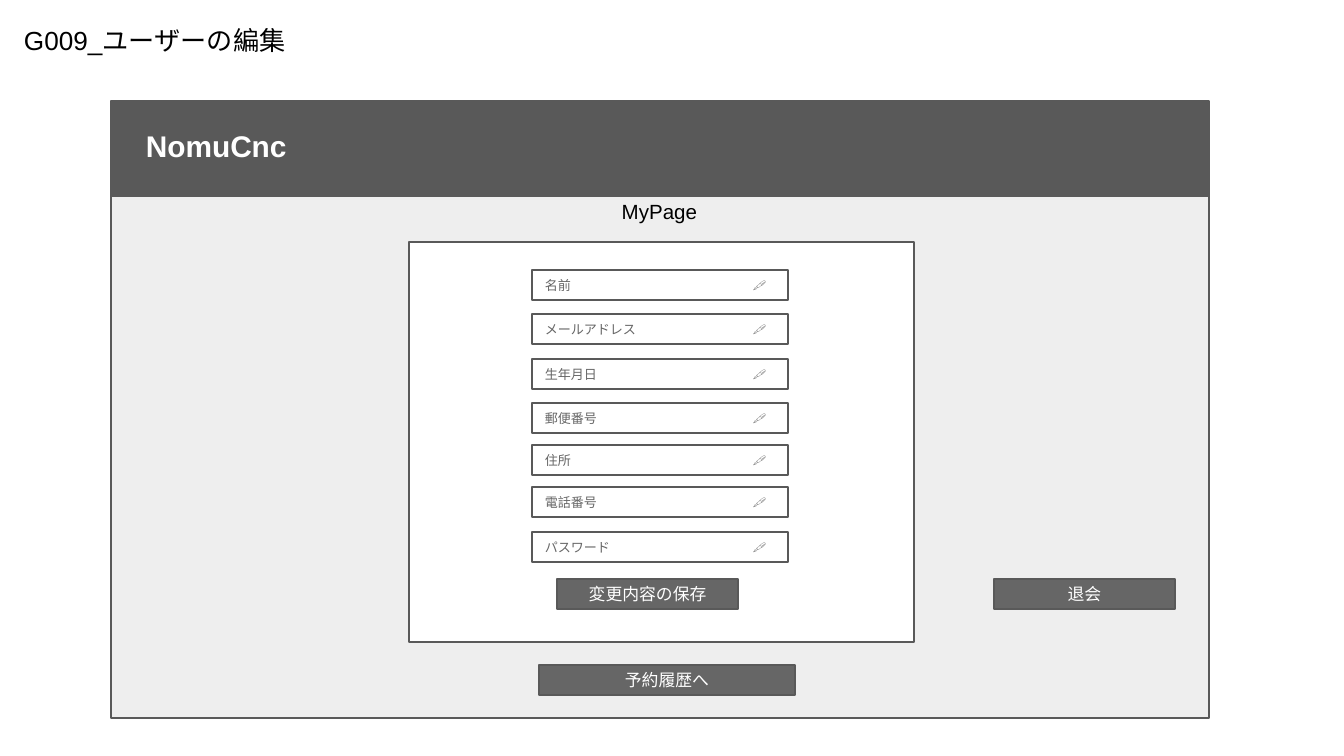
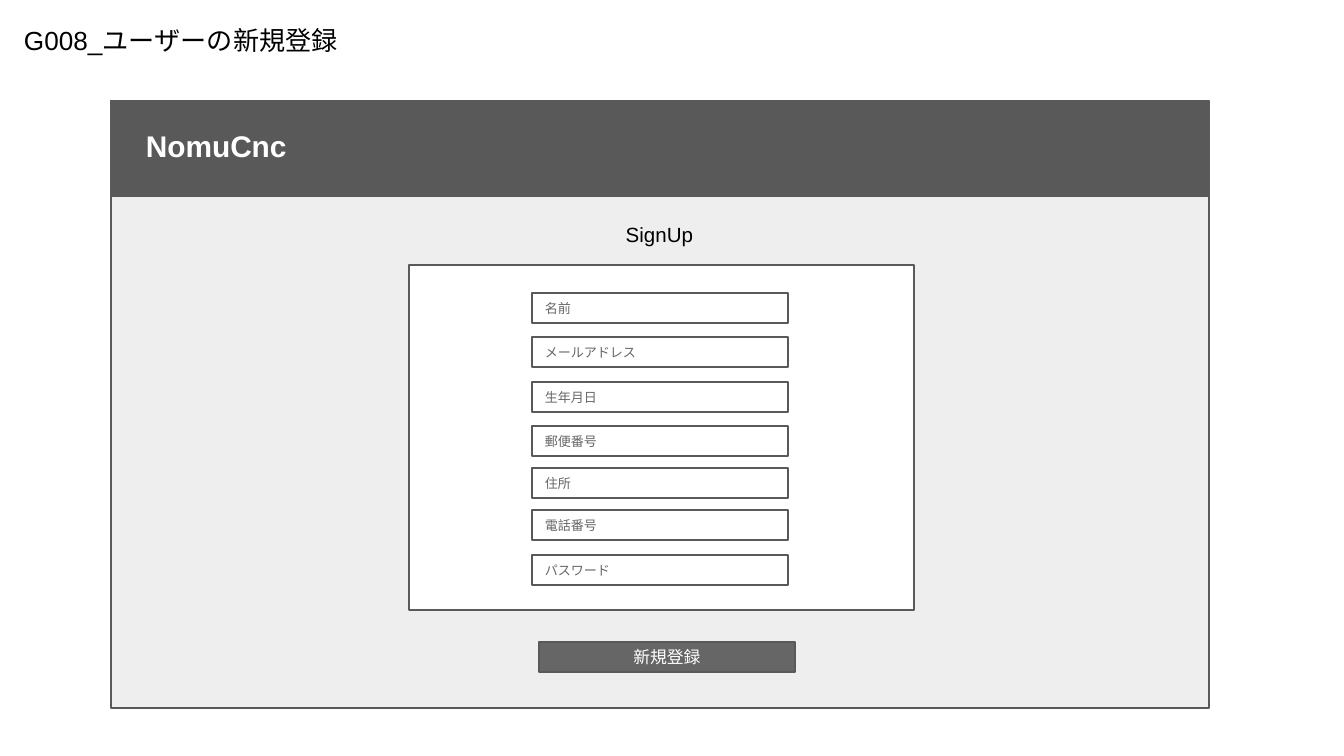
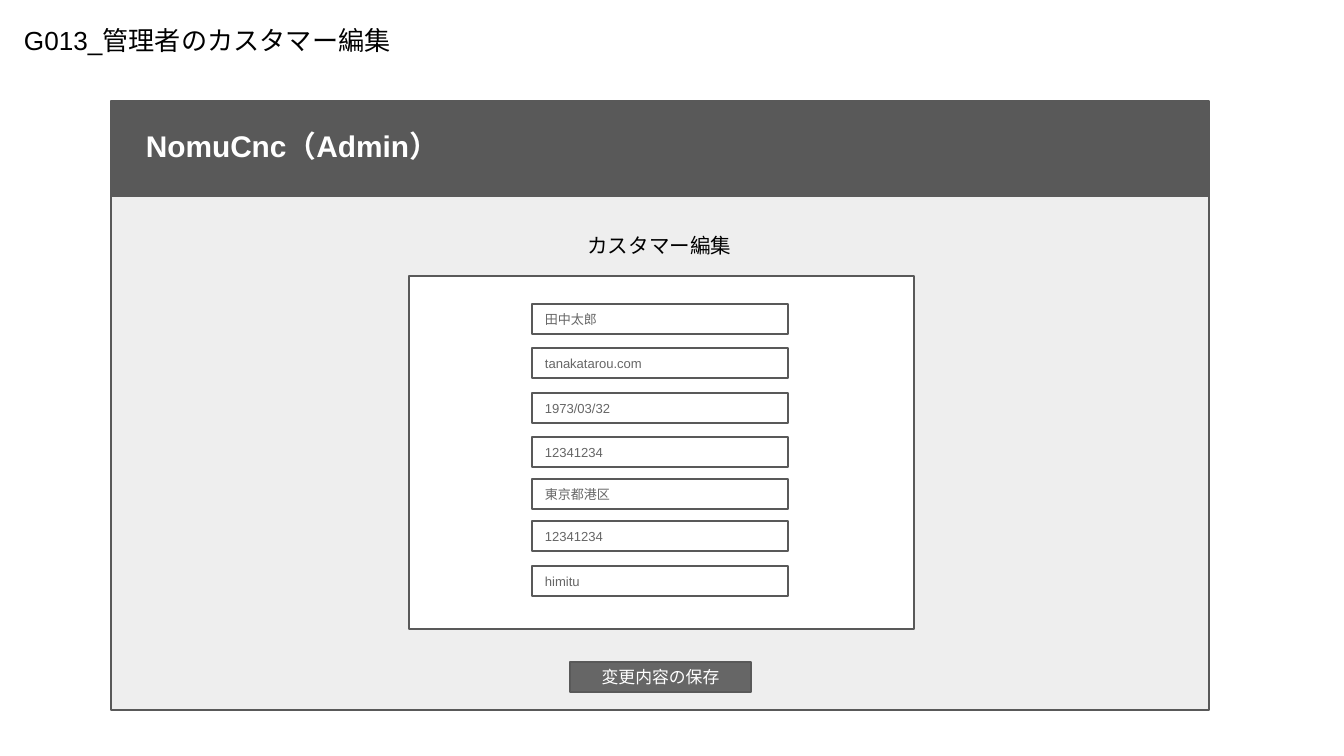
from lxml.etree import SubElement
from pptx import Presentation
from pptx.dml.color import RGBColor
from pptx.enum.shapes import MSO_SHAPE
from pptx.enum.text import MSO_ANCHOR, MSO_AUTO_SIZE, PP_ALIGN
from pptx.oxml.ns import qn
from pptx.util import Emu, Pt

BLACK, WHITE = "000000", "FFFFFF"
DARK, MID, PALE = "595959", "666666", "EEEEEE"
FONT = "Arial"

FRAME_LEFT, FRAME_WIDTH, FRAME_HEIGHT = 111, 1098, 607
HEADER_TOP, HEADER_HEIGHT = 101, 95
PANEL_LEFT, PANEL_WIDTH = 409, 505
HEADING_RISE = 55  # heading top above the panel top
FIELD_LEFT, FIELD_WIDTH, ROW_HEIGHT = 532, 256, 30
FIELD_OFFSETS = (28, 72, 117, 161, 203, 245, 290)  # below the panel top
WIDE, NARROW = 256, 181  # button widths
INSET, PENCIL_TAB = 13, 208

PROFILE_FIELDS = ("名前", "メールアドレス", "生年月日", "郵便番号", "住所", "電話番号", "パスワード")
CUSTOMER_VALUES = ("田中太郎", "tanakatarou.com", "1973/03/32", "12341234",
                   "東京都港区", "12341234", "himitu")

# Buttons: text, left, top, width
SCREENS = [
    dict(title="G009_ユーザーの編集", title_width=367, brand="NomuCnc", heading="MyPage",
         frame_top=111, panel_top=242, panel_height=400, fields=PROFILE_FIELDS, pencil=True,
         buttons=[("予約履歴へ", 539, 665, WIDE),
                  ("変更内容の保存", 557, 579, NARROW),
                  ("退会", 994, 579, NARROW)]),
    dict(title="G008_ユーザーの新規登録", title_width=367, brand="NomuCnc", heading="SignUp",
         frame_top=101, panel_top=265, panel_height=345, fields=PROFILE_FIELDS, pencil=False,
         buttons=[("新規登録", 539, 642, WIDE)]),
    dict(title="G013_管理者のカスタマー編集", title_width=405, brand="NomuCnc（Admin）",
         heading="カスタマー編集",
         frame_top=103, panel_top=276, panel_height=353, fields=CUSTOMER_VALUES, pencil=False,
         buttons=[("変更内容の保存", 570, 662, NARROW)]),
]


def px(length):
    return Emu(round(length * 914400 / 134.4))


def color(hex_string):
    return RGBColor.from_string(hex_string)


def write(shape, runs, size, text_color, align=PP_ALIGN.LEFT, bold=False):
    """Put one paragraph of runs into a shape and return the paragraph."""
    frame = shape.text_frame
    frame.word_wrap = True
    frame.margin_left = frame.margin_right = px(INSET)
    frame.margin_top = frame.margin_bottom = px(INSET)
    paragraph = frame.paragraphs[0]
    paragraph.alignment = align
    for text in runs:
        run = paragraph.add_run()
        run.text = text
        run.font.name = FONT
        run.font.size = Pt(size)
        run.font.bold = bold
        run.font.color.rgb = color(text_color)
    return paragraph


def add_box(slide, left, top, width, height, fill):
    box = slide.shapes.add_shape(MSO_SHAPE.RECTANGLE, px(left), px(top), px(width), px(height))
    box.shadow.inherit = False
    box.fill.solid()
    box.fill.fore_color.rgb = color(fill)
    box.line.color.rgb = color(DARK)
    box.line.width = Pt(0.75)
    box.text_frame.vertical_anchor = MSO_ANCHOR.MIDDLE
    return box


def add_label(slide, text, left, top, width, height, size, text_color, **style):
    label = slide.shapes.add_textbox(px(left), px(top), px(width), px(height))
    write(label, [text], size, text_color, **style)
    label.text_frame.auto_size = MSO_AUTO_SIZE.SHAPE_TO_FIT_TEXT


def add_field(slide, text, top, pencil):
    """Input row, with a pencil at a tab stop if it can be edited."""
    field = add_box(slide, FIELD_LEFT, top, FIELD_WIDTH, ROW_HEIGHT, WHITE)
    runs = [text, "\t🖋"] if pencil else [text]
    paragraph = write(field, runs, 7, MID)
    if pencil:
        tabs = SubElement(paragraph._p.get_or_add_pPr(), qn("a:tabLst"))
        SubElement(tabs, qn("a:tab"), pos=str(px(PENCIL_TAB)), algn="l")


def add_button(slide, text, left, top, width):
    button = add_box(slide, left, top, width, ROW_HEIGHT, MID)
    write(button, [text], 9, WHITE, align=PP_ALIGN.CENTER)


def add_screen(presentation, screen):
    slide = presentation.slides.add_slide(presentation.slide_layouts[6])
    panel_top = screen["panel_top"]
    add_box(slide, FRAME_LEFT, screen["frame_top"], FRAME_WIDTH, FRAME_HEIGHT, PALE)
    add_label(slide, screen["title"], 11, 11, screen["title_width"], 59, 14, BLACK)
    add_box(slide, FRAME_LEFT, HEADER_TOP, FRAME_WIDTH, HEADER_HEIGHT, DARK)
    add_label(slide, screen["brand"], 133, 115, 367, 63, 16, WHITE, bold=True)
    add_box(slide, PANEL_LEFT, panel_top, PANEL_WIDTH, screen["panel_height"], WHITE)
    add_label(slide, screen["heading"], 557, panel_top - HEADING_RISE, 205, 52, 11, BLACK,
              align=PP_ALIGN.CENTER)
    for text, offset in zip(screen["fields"], FIELD_OFFSETS):
        add_field(slide, text, panel_top + offset, screen["pencil"])
    for button in screen["buttons"]:
        add_button(slide, *button)


def main():
    presentation = Presentation()
    presentation.slide_width, presentation.slide_height = px(1344), px(756)
    for screen in SCREENS:
        add_screen(presentation, screen)
    presentation.save("out.pptx")


if __name__ == "__main__":
    main()
